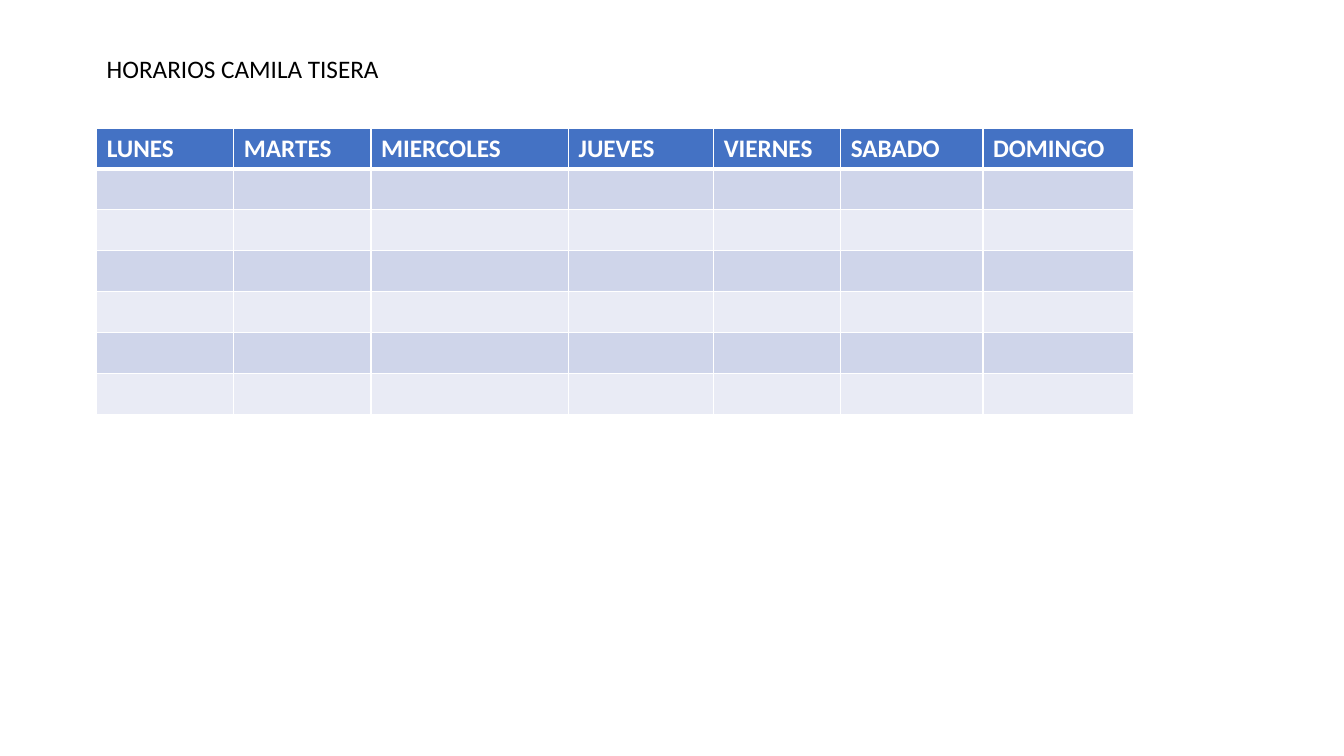
"""Builds a slide with an empty weekly timetable."""
from lxml.etree import SubElement
from pptx import Presentation
from pptx.dml.color import RGBColor
from pptx.enum.text import MSO_AUTO_SIZE
from pptx.oxml.ns import qn
from pptx.util import Inches, Pt

HEADING = "HORARIOS CAMILA TISERA"
DAYS = [("LUNES", 1.36), ("MARTES", 1.36), ("MIERCOLES", 1.96), ("JUEVES", 1.44),
        ("VIERNES", 1.26), ("SABADO", 1.41), ("DOMINGO", 1.49)]
EMPTY_ROWS = 6
LEFT, HEADING_TOP, TABLE_TOP = 0.96, 0.48, 1.27
HEADING_WIDTH, HEADING_HEIGHT, TABLE_HEIGHT = 8.43, 0.4, 2.84
HEADER_FILL, BAND_FILLS = "4472C4", ("CFD5EA", "E9EBF5")
WHITE, BLACK = "FFFFFF", "000000"
TEXT_FORMAT = {"name": "Calibri", "size": Pt(18)}


def color(value):
    return RGBColor.from_string(value)


def write(frame, text, text_color, **extra):
    run = frame.paragraphs[0].add_run()
    run.text = text
    for attribute, value in {**TEXT_FORMAT, **extra}.items():
        setattr(run.font, attribute, value)
    run.font.color.rgb = color(text_color)


def add_borders(cell, widths):
    properties = cell._tc.get_or_add_tcPr()
    for side, width in widths.items():
        line = SubElement(properties, qn(f"a:ln{side}"), w=str(Pt(width)))
        SubElement(SubElement(line, qn("a:solidFill")), qn("a:srgbClr"), val=WHITE)


presentation = Presentation()
presentation.slide_width, presentation.slide_height = Inches(13.33), Inches(7.5)
slide = presentation.slides.add_slide(presentation.slide_layouts[6])

heading = slide.shapes.add_textbox(Inches(LEFT), Inches(HEADING_TOP),
                                   Inches(HEADING_WIDTH), Inches(HEADING_HEIGHT)).text_frame
heading.word_wrap = True
heading.auto_size = MSO_AUTO_SIZE.SHAPE_TO_FIT_TEXT
write(heading, HEADING, BLACK)

timetable = slide.shapes.add_table(
    EMPTY_ROWS + 1, len(DAYS), Inches(LEFT), Inches(TABLE_TOP),
    Inches(sum(width for _, width in DAYS)), Inches(TABLE_HEIGHT)).table
for column, (day, width) in enumerate(DAYS):
    timetable.columns[column].width = Inches(width)
    for row in range(EMPTY_ROWS + 1):
        cell = timetable.cell(row, column)
        add_borders(cell, {"L": 1, "R": 1, "T": 3 if row == 1 else 1, "B": 3 if row == 0 else 1})
        cell.fill.solid()
        cell.fill.fore_color.rgb = color(BAND_FILLS[(row - 1) % 2] if row else HEADER_FILL)
    write(timetable.cell(0, column).text_frame, day, WHITE, bold=True)

presentation.save("out.pptx")
